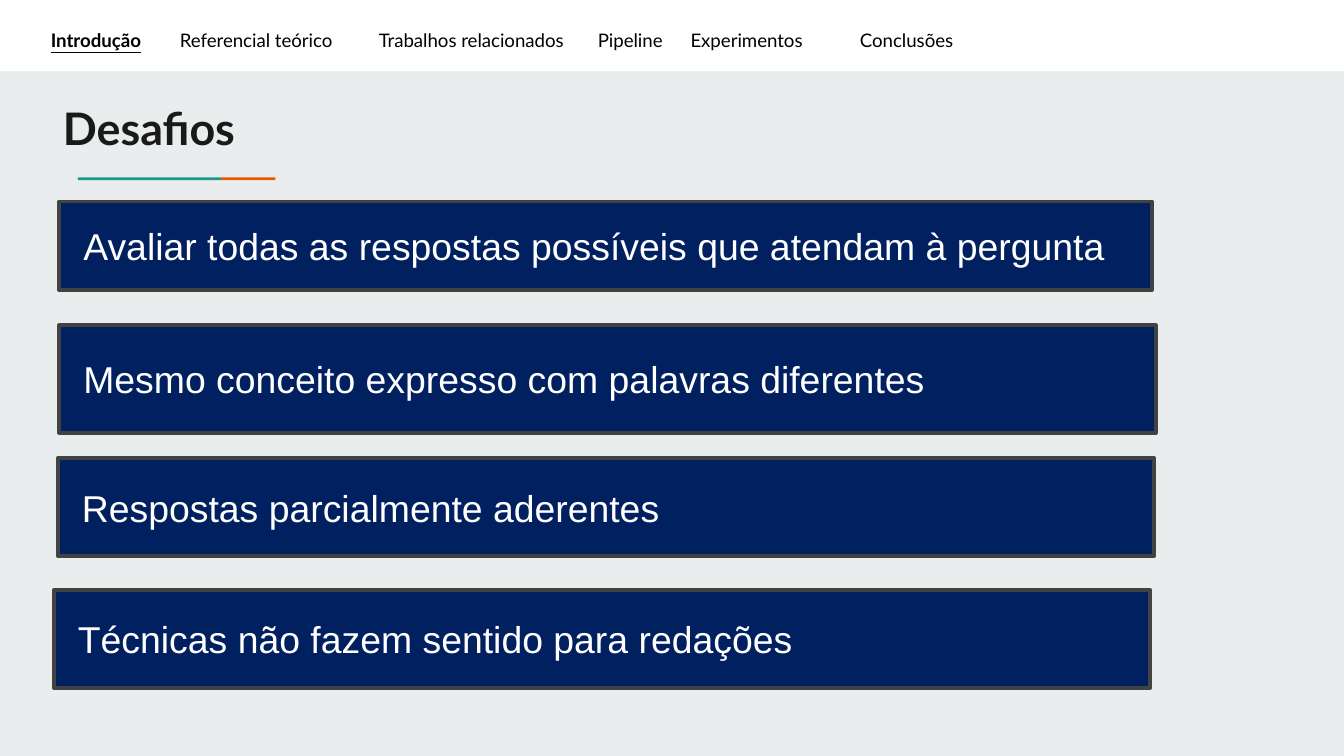
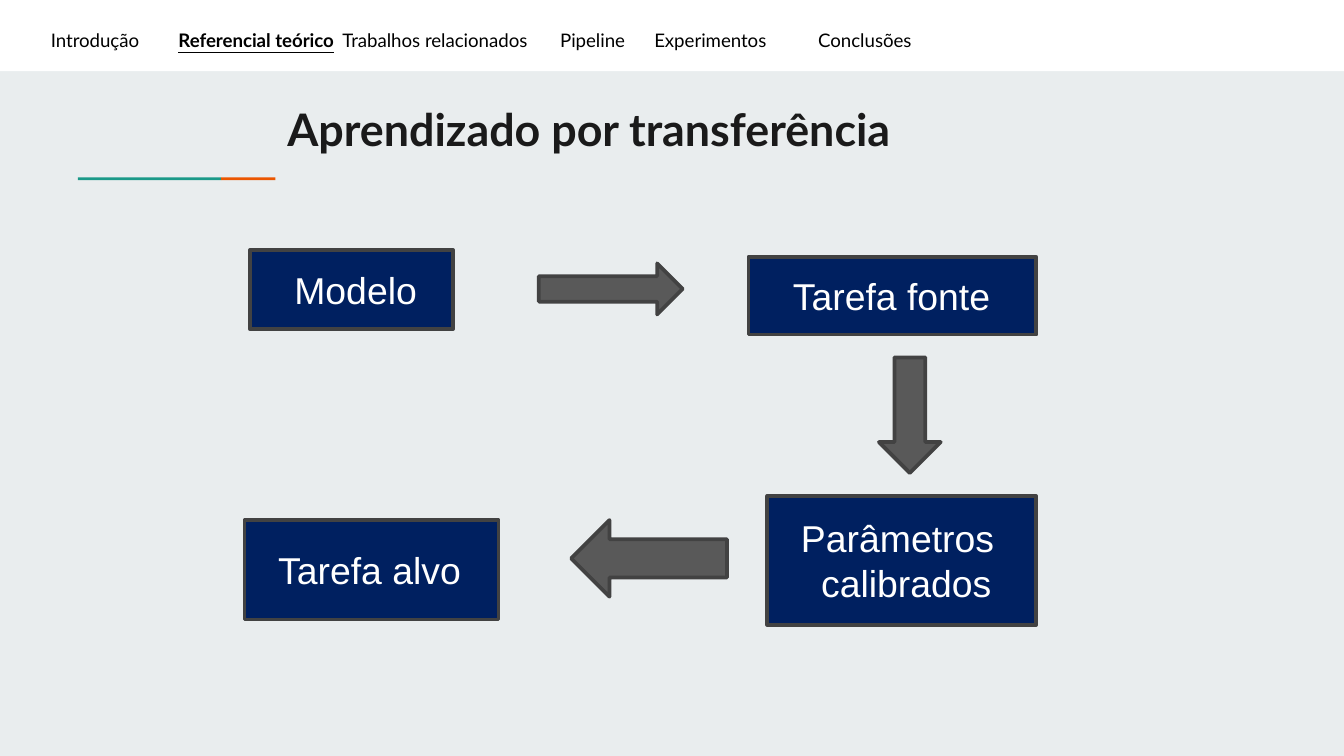
from lxml import etree
from pptx import Presentation
from pptx.dml.color import RGBColor
from pptx.enum.shapes import MSO_SHAPE
from pptx.enum.text import MSO_ANCHOR, PP_ALIGN
from pptx.oxml.ns import qn
from pptx.util import Inches, Pt

RECT = MSO_SHAPE.RECTANGLE
RIGHT_ARROW = MSO_SHAPE.RIGHT_ARROW
DOWN_ARROW = MSO_SHAPE.DOWN_ARROW
LEFT_ARROW = MSO_SHAPE.LEFT_ARROW
MIDDLE = MSO_ANCHOR.MIDDLE
LEFT = PP_ALIGN.LEFT

WIDTH = 10
HEIGHT = WIDTH * 9 / 16
BACKGROUND, WHITE, BLACK = "E9EDEE", "FFFFFF", "000000"
NAVY, OUTLINE, GRAY, TITLE = "002060", "424242", "595959", "1A1A1A"
TEAL, ORANGE = "1A9988", "EB5600"
BODY_FONT, HEAD_FONT = "Arial", "Lato"
SECTIONS = ["Introdução", "Referencial teórico", "Trabalhos relacionados",
            "Pipeline", "Experimentos", "Conclusões"]


def rgb(color):
    """Turn a hex string into a colour."""
    return RGBColor.from_string(color)


def style_run(r, font, size, color, bold=False, underline=False):
    """Set the font of one run."""
    r.font.name, r.font.size = font, Pt(size)
    r.font.bold, r.font.underline = bold, underline
    r.font.color.rgb = rgb(color)


def add_block(slide, box, fill, outline=None, kind=RECT):
    """Add a filled preset shape, outlined if a line colour is given."""
    sp = slide.shapes.add_shape(kind, *map(Inches, box))
    sp.shadow.inherit = False
    sp.fill.solid()
    sp.fill.fore_color.rgb = rgb(fill)
    if outline:
        sp.line.color.rgb = rgb(outline)
        sp.line.width = Pt(2)
        etree.SubElement(sp._element.spPr.find(qn("a:ln")), qn("a:round"))
    else:
        sp.line.fill.background()
    return sp


def add_label(slide, box, text, inset, step=0):
    """Add a navy box whose text lines start at the inset, each a step further."""
    sp = add_block(slide, box, NAVY, OUTLINE)
    tf = sp.text_frame
    tf.text = text
    tf.word_wrap = True
    tf.vertical_anchor = MIDDLE
    tf.margin_left = Inches(inset)
    for i, p in enumerate(tf.paragraphs):
        p.alignment = LEFT
        if i and step:
            p._p.get_or_add_pPr().set("marL", str(Inches(i * step)))
        for r in p.runs:
            style_run(r, BODY_FONT, 20, WHITE)


def add_textbox(slide, box):
    """Add a wrapping text box with even insets and return its frame."""
    tf = slide.shapes.add_textbox(*map(Inches, box)).text_frame
    tf.word_wrap = True
    tf.margin_left = tf.margin_right = Inches(0.1)
    tf.margin_top = tf.margin_bottom = Inches(0.1)
    return tf


def add_navigation(slide, box, current, stops):
    """Add the section names on tab stops, with the current one marked."""
    p = add_textbox(slide, box).paragraphs[0]
    tabs = etree.SubElement(p._p.get_or_add_pPr(), qn("a:tabLst"))
    for stop in stops:
        etree.SubElement(tabs, qn("a:tab"), pos=str(Inches(stop)), algn="l")
    for i, section in enumerate(SECTIONS):
        if i:
            r = p.add_run()
            r.text = "\t"
            style_run(r, HEAD_FONT, 10, BLACK)
        r = p.add_run()
        r.text = section
        active = section == current
        style_run(r, HEAD_FONT, 10, BLACK, active, active)


def add_accent(slide, box):
    """Add the teal and orange rule below the title."""
    x, y, w, h = box
    teal = w * 0.725
    add_block(slide, (x, y, teal, h), TEAL)
    add_block(slide, (x + teal, y, w - teal, h), ORANGE)


def add_frame(prs, title, title_box, current, stops):
    """Add a slide with its background, band, navigation, rule and title."""
    slide = prs.slides.add_slide(prs.slide_layouts[6])
    slide.background.fill.solid()
    slide.background.fill.fore_color.rgb = rgb(BACKGROUND)
    add_block(slide, (0, 0, WIDTH, 0.53), WHITE)
    add_accent(slide, (0.58, 1.32, 1.47, 0.02))
    add_navigation(slide, (0.28, 0.13, 7.37, 0.3), current, stops)
    tf = add_textbox(slide, title_box)
    tf.text = title
    style_run(tf.paragraphs[0].runs[0], HEAD_FONT, 24, TITLE, bold=True)
    return slide


def add_challenges(slide, box):
    """Add the four challenge bars inside the box."""
    x, y, w, _ = box
    bars = [
        (0.04, 0, -0.03, 0.66,
         "Avaliar todas as respostas possíveis que atendam à pergunta"),
        (0.04, 0.92, 0, 0.8, "Mesmo conceito expresso com palavras diferentes"),
        (0.03, 1.91, 0, 0.73, "Respostas parcialmente aderentes"),
        (0, 2.89, 0, 0.73, "Técnicas não fazem sentido para redações"),
    ]
    for dx, dy, dw, h, text in bars:
        add_label(slide, (x + dx, y + dy, w + dw, h), text, 0.18)


def add_transfer_flow(slide, box):
    """Add the transfer learning steps and their arrows inside the box."""
    x, y, _, _ = box
    steps = [
        (0.04, 0, 1.51, 0.59, "Modelo", 0.33),
        (3.75, 0.05, 2.14, 0.58, "Tarefa fonte", 0.33),
        (3.89, 1.83, 2, 0.96, "Parâmetros\ncalibrados", 0.25),
        (0, 2.01, 1.89, 0.74, "Tarefa alvo", 0.25),
    ]
    arrows = [
        (RIGHT_ARROW, 2.19, 0.1, 1.07, 0.38),
        (DOWN_ARROW, 4.72, 0.8, 0.46, 0.86),
        (LEFT_ARROW, 2.43, 2.01, 1.16, 0.57),
    ]
    for dx, dy, w, h, text, inset in steps:
        add_label(slide, (x + dx, y + dy, w, h), text, inset, 0.15)
    for kind, dx, dy, w, h in arrows:
        add_block(slide, (x + dx, y + dy, w, h), GRAY, OUTLINE, kind)


def main():
    """Build the two slides and save them."""
    prs = Presentation()
    prs.slide_width, prs.slide_height = Inches(WIDTH), Inches(HEIGHT)
    slide = add_frame(prs, "Desafios", (0.37, 0.65, 5.44, 0.54), SECTIONS[0],
                      (0.96, 2.44, 4.07, 4.76, 6.02))
    add_challenges(slide, (0.4, 1.5, 8.16, 3.62))
    slide = add_frame(prs, "Aprendizado por transferência",
                      (2.04, 0.66, 5.81, 0.54), SECTIONS[1],
                      (0.95, 2.17, 3.79, 4.49, 5.71))
    add_transfer_flow(slide, (1.82, 1.86, 5.89, 2.79))
    prs.save("out.pptx")


if __name__ == "__main__":
    main()
